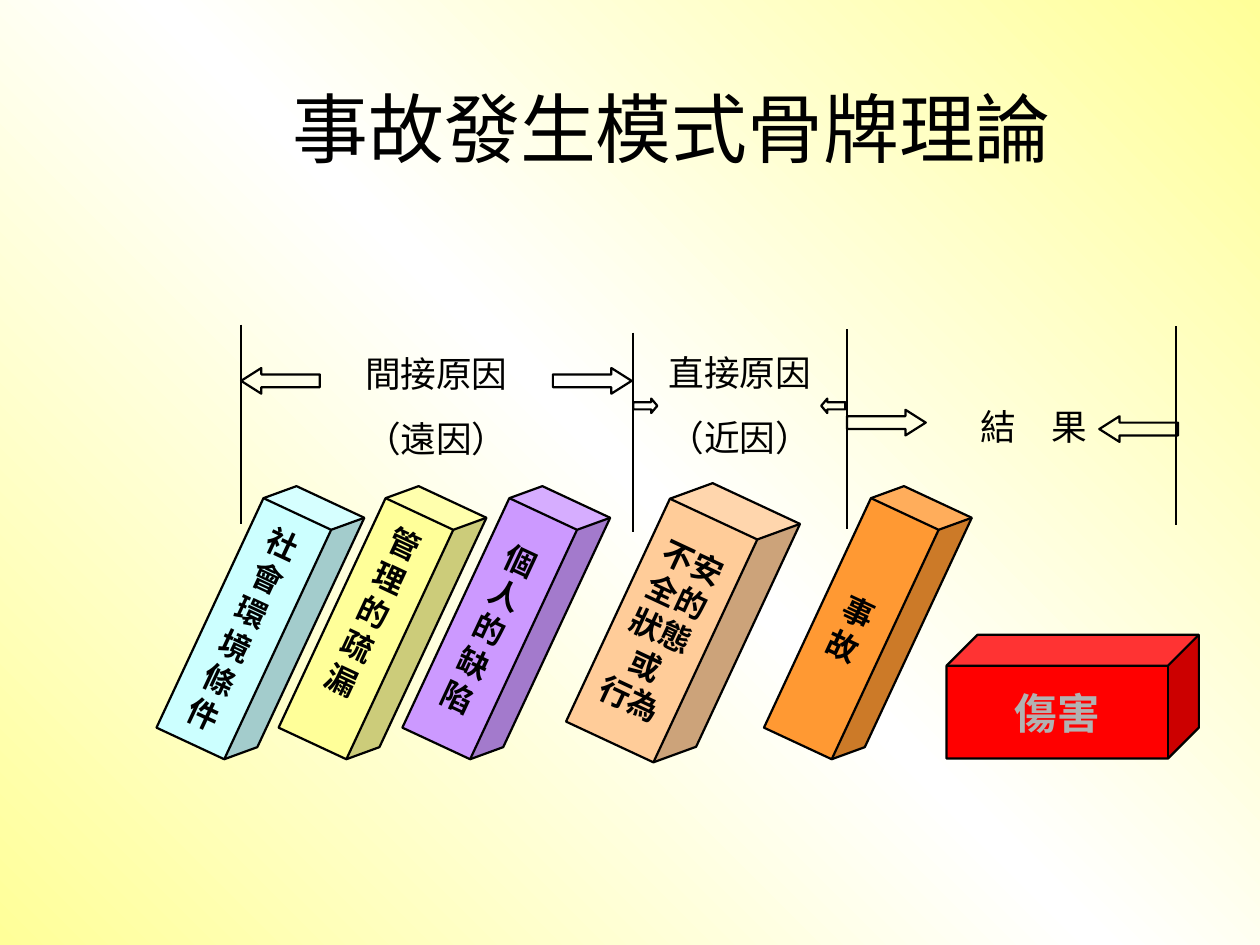
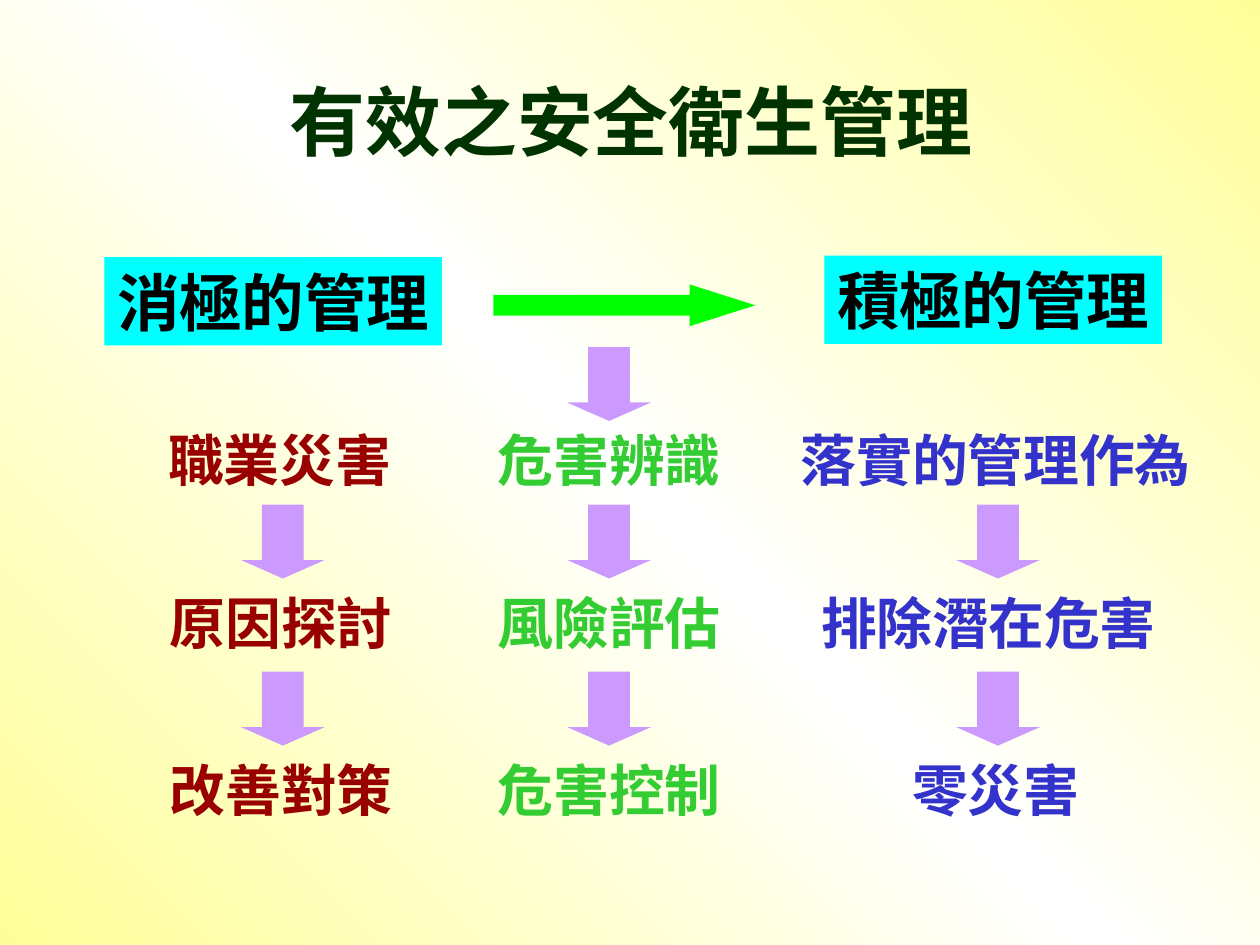
from copy import deepcopy
from lxml.etree import SubElement
from pptx import Presentation
from pptx.dml.color import RGBColor
from pptx.enum.shapes import MSO_CONNECTOR, MSO_SHAPE
from pptx.enum.text import MSO_ANCHOR, MSO_AUTO_SIZE, PP_ALIGN
from pptx.oxml.ns import qn
from pptx.util import Emu, Pt

BLACK, YELLOW, WHITE = "000000", "FFFF99", "FFFFFF"
LILAC, CYAN, LIME = "CC99FF", "00FFFF", "00FF00"
SANS, SERIF = "Arial", "Times New Roman"


def px(*nums):
    """Turn px, 100 to the inch, into EMU."""
    return [Emu(num * 9144) for num in nums]


def rgb(code):
    """Turn a hex string into a colour."""
    return RGBColor.from_string(code)


class Deck:
    """Holds the style and the current slide."""

    def __init__(self):
        """Set the slide size and the shared background."""
        self.show = Presentation()
        self.show.slide_width, self.show.slide_height = px(784, 588)
        master = self.show.slide_master
        fill = master.background.fill
        fill.gradient()
        fill.gradient_angle = 45
        last = master.element.xpath("p:cSld/p:bg//a:gs")[-1]
        last.addnext(deepcopy(last))
        for stop, code, pos in zip(fill.gradient_stops, (YELLOW, WHITE, YELLOW), (0, 0.5, 1)):
            stop.color.rgb = rgb(code)
            stop.position = pos

    def page(self, text, box, color=BLACK, bold=False):
        """Start a slide with its title."""
        self.slide = self.show.slides.add_slide(self.show.slide_layouts[5])
        title = self.slide.shapes.title
        title.left, title.top, title.width, title.height = px(*box)
        self.put(title, text, 34, color, bold, anchor=MSO_ANCHOR.MIDDLE)

    def put(self, shape, text, size, color=BLACK, bold=False, font=SANS,
            anchor=MSO_ANCHOR.TOP, wrap=True, gap=0, foot=4):
        """Put styled, centred text in a shape."""
        frame = shape.text_frame
        frame.text = text
        frame.auto_size = MSO_AUTO_SIZE.NONE
        frame.word_wrap = wrap
        frame.vertical_anchor = anchor
        frame.margin_left, frame.margin_right = px(8, 8)
        frame.margin_top, frame.margin_bottom = px(4, foot)
        for num, para in enumerate(frame.paragraphs):
            para.alignment = PP_ALIGN.CENTER
            para.space_before = Pt(gap if num else 0)
            for run in para.runs:
                run.font.name, run.font.size, run.font.bold = font, Pt(size), bold
                run.font.color.rgb = rgb(color)

    def label(self, box, text, size, **style):
        """Add a text box."""
        self.put(self.slide.shapes.add_textbox(*px(*box)), text, size, **style)

    def shape(self, kind, box, fill=None, line=None, adjust=()):
        """Add a preset shape."""
        shape = self.slide.shapes.add_shape(kind, *px(*box))
        shape.shadow.inherit = False
        for num, value in enumerate(adjust):
            shape.adjustments[num] = value
        if fill:
            shape.fill.solid()
            shape.fill.fore_color.rgb = rgb(fill)
        else:
            shape.fill.background()
        if line:
            shape.line.color.rgb = rgb(line)
            shape.line.width = Pt(1)
        else:
            shape.line.fill.background()
        return shape

    def block(self, box, fill, text, size=14, color=BLACK, turn=0, foot=4):
        """Add a domino with bold text."""
        cube = self.shape(MSO_SHAPE.CUBE, box, fill, BLACK, [0.25])
        cube.rotation = turn
        self.put(cube, text, size, color, True, anchor=MSO_ANCHOR.MIDDLE, wrap=False, foot=foot)

    def rule(self, x, top, height):
        """Add an upright line."""
        line = self.slide.shapes.add_connector(MSO_CONNECTOR.STRAIGHT, *px(x, top, x, top + height))
        line.line.color.rgb = rgb(BLACK)
        line.line.width = Pt(1)
        SubElement(line.element.spPr, qn("a:effectLst"))


def domino(deck):
    """Build the domino theory slide."""
    deck.page("事故發生模式骨牌理論", (163, 47, 510, 64))
    tiles = [
        (131, 62, "CCFFFF", "社\n會\n環\n境\n條\n件", 4),
        (207, 62, YELLOW, "管\n理\n的\n疏\n漏", 27),
        (284, 62, LILAC, "個\n人\n的\n缺\n陷", 4),
        (385, 80, "FFCC99", "不安\n全的\n狀態\n或\n行為", 4),
        (509, 62, "FF9933", "事\n故", 4),
    ]
    for x, width, fill, text, foot in tiles:
        deck.block((x, 301, width, 173), fill, text, turn=25, foot=foot)
    deck.block((589, 395, 157, 77), "FF0000", "傷害", 19, "B2B2B2")
    for x, y, height, text in [(203, 215, 75, "間接原因\n（遠因）"),
                               (392, 214, 75, "直接原因\n（近因）"),
                               (575, 248, 34, "結　果")]:
        deck.label((x, y, 137, height), text, 16, gap=10)
    for x, top in [(150, 202), (394, 207), (527, 205), (732, 203)]:
        deck.rule(x, top, 124)
    left, right = MSO_SHAPE.LEFT_ARROW, MSO_SHAPE.RIGHT_ARROW
    for kind, x, y in [(left, 150, 229), (right, 344, 229), (right, 527, 255), (left, 684, 259)]:
        deck.shape(kind, (x, y, 49, 16), line=BLACK, adjust=[0.5, 0.79])
    for kind, x in [(right, 394), (left, 511)]:
        deck.shape(kind, (x, 248, 15, 9), line=BLACK, adjust=[0.5, 0.42])


def manage(deck):
    """Build the safety management slide."""
    deck.page("有效之安全衛生管理", (59, 26, 667, 98), "003300", True)
    for x, y, text in [(65, 160, "消極的管理"), (513, 159, "積極的管理")]:
        head = deck.shape(MSO_SHAPE.RECTANGLE, (x, y, 210, 55), CYAN)
        deck.put(head, text, 28, bold=True, font=SERIF, wrap=False)
    lists = [
        ("990000", [(174, "職業災害"), (175, "原因探討"), (175, "改善對策")]),
        ("33CC33", [(379, "危害辨識"), (379, "風險評估"), (379, "危害控制")]),
        ("3333CC", [(619, "落實的管理作為"), (615, "排除潛在危害"), (619, "零災害")]),
    ]
    for color, items in lists:
        for y, (mid, text) in zip((261, 362, 466), items):
            width = 35 * len(text) + 14
            deck.label((mid - width // 2, y, width, 49), text, 25,
                       color=color, bold=True, font=SERIF, wrap=False)
    deck.shape(MSO_SHAPE.RIGHT_ARROW, (307, 177, 163, 26), LIME, adjust=[0.5, 1.57])
    spots = [(353, 216)] + [(x, y) for x in (150, 353, 595) for y in (314, 418)]
    for x, y in spots:
        deck.shape(MSO_SHAPE.DOWN_ARROW, (x, y, 52, 46), LILAC, adjust=[0.5, 0.25])


def main():
    """Build and save both slides."""
    deck = Deck()
    domino(deck)
    manage(deck)
    deck.show.save("out.pptx")


if __name__ == "__main__":
    main()
